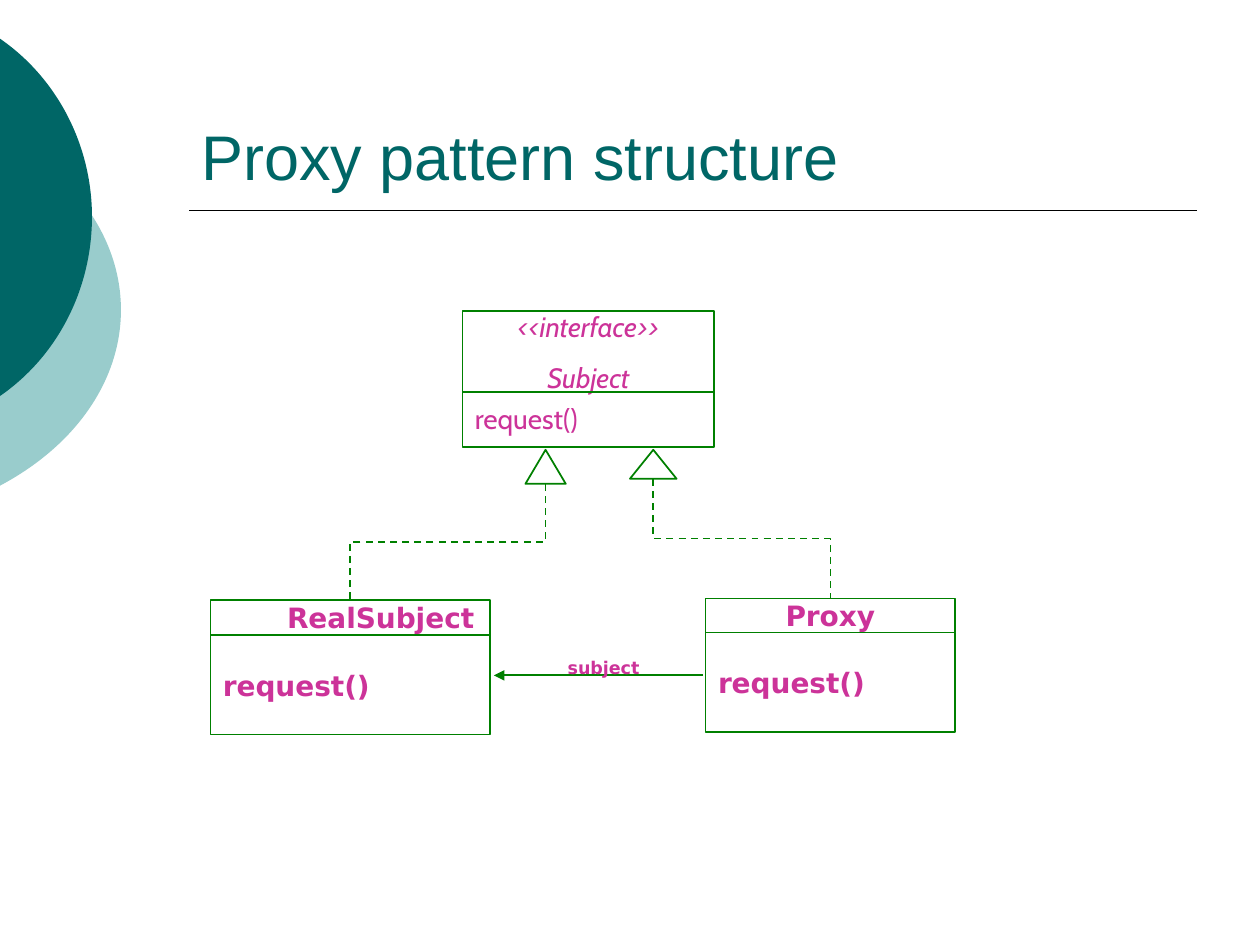
import pptx
import pptx.util
from lxml import etree
from pptx.dml.color import RGBColor
from pptx.enum.dml import MSO_LINE
from pptx.enum.shapes import MSO_CONNECTOR, MSO_SHAPE
from pptx.enum.text import MSO_ANCHOR, PP_ALIGN
from pptx.oxml.ns import qn

Inches, Pt = pptx.util.Inches, pptx.util.Pt
TEAL, PALE_TEAL, GREEN, PINK, BLACK = "006666", "99CCCC", "008000", "CC3399", "000000"

# Content: discs cut off by the left edge: frame (left, top, width, height), colour,
# then the arc as a start point and two curves of three points each
EDGE = -0.01
DISCS = [
    ((-3.54, 0.75, 4.5, 3.42), PALE_TEAL, (EDGE, 1.06),
     [[(0.6, 1.38), (0.96, 1.9), (0.96, 2.46)], [(0.96, 3.02), (0.6, 3.54), (EDGE, 3.86)]]),
    ((-2.65, 0, 3.38, 3.45), TEAL, (EDGE, 0.3),
     [[(0.46, 0.62), (0.73, 1.16), (0.73, 1.72)], [(0.73, 2.29), (0.46, 2.83), (EDGE, 3.15)]]),
]
TITLE = "Proxy pattern structure"
# Classes: left, top, width, name height, body height, name lines, name shift, font, bold,
# italic name, line spacing of the body
CLASSES = [
    (3.67, 2.47, 2.0, 0.64, 0.44, ["<<interface>>", "Subject"], 0, "Cabin", False, True, 0.95),
    (1.67, 4.76, 2.22, 0.28, 0.79, ["RealSubject"], 0.48, "DejaVu Sans", True, False, 1.0),
    (5.6, 4.75, 1.98, 0.27, 0.79, ["Proxy"], 0, "DejaVu Sans", True, False, 1.0),
]
METHOD = "request()"
# Inheritance: triangle left, top, width, height, then the end of the dashed line
INHERITANCE = [(4.17, 3.57, 0.32, 0.27, 2.78, 4.76), (5.0, 3.57, 0.37, 0.23, 6.59, 4.75)]


def colour(value):
    return RGBColor.from_string(value)


def write(shape, lines, font, size, ink, bold=False, italic=False, align=PP_ALIGN.LEFT,
          anchor=MSO_ANCHOR.MIDDLE, before=0, shift=0, spacing=1.0, wrap=False):
    frame = shape.text_frame
    frame.word_wrap = wrap
    frame.vertical_anchor = anchor
    frame.margin_left = Inches(0.1 + shift)
    frame.text = "\n".join(lines)
    for index, para in enumerate(frame.paragraphs):
        para.alignment = align
        para.line_spacing = spacing
        para.space_before = Pt(before if index else 0)
        para.font.name, para.font.size = font, Pt(size)
        para.font.bold, para.font.italic = bold, italic
        para.font.color.rgb = colour(ink)


def add_outline(page, kind, left, top, width, height):
    shape = page.shapes.add_shape(kind, Inches(left), Inches(top), Inches(width), Inches(height))
    shape.shadow.inherit = False
    shape.fill.background()
    shape.line.color.rgb = colour(GREEN)
    shape.line.width = Pt(1)
    return shape


def add_line(page, x1, y1, x2, y2, ink, kind=MSO_CONNECTOR.STRAIGHT):
    line = page.shapes.add_connector(kind, Inches(x1), Inches(y1), Inches(x2), Inches(y2))
    line.line.color.rgb = colour(ink)
    line.line.width = Pt(1)
    etree.SubElement(line._element.spPr, qn("a:effectLst"))
    return line


def add_vertical_elbow(page, x1, y1, x2, y2):
    """An elbow that leaves downwards: the sideways one turned by a quarter."""
    mid_x, mid_y = (x1 + x2) / 2, (y1 + y2) / 2
    half_run = (y2 - y1) / 2
    half_rise = abs(x2 - x1) / 2
    side = 1 if x2 < x1 else -1
    elbow = add_line(page, mid_x - side * half_run, mid_y - half_rise,
                     mid_x + side * half_run, mid_y + half_rise, GREEN, MSO_CONNECTOR.ELBOW)
    elbow.line.dash_style = MSO_LINE.DASH
    turn = 90 if side == 1 else 270
    elbow._element.spPr.find(qn("a:xfrm")).set("rot", str(turn * 60000))


def add_disc(page, frame, ink, start, curves):
    left, top, width, height = frame
    builder = page.shapes.build_freeform(Inches(left), Inches(top))
    builder.add_line_segments([(Inches(left + width), Inches(top + height))])
    shape = builder.convert_to_shape()

    # Curved segments replace the straight one
    outline = next(shape._element.iter(qn("a:path")))
    for segment in list(outline):
        outline.remove(segment)
    for tag, points in [("moveTo", [start])] + [("cubicBezTo", curve) for curve in curves]:
        segment = etree.SubElement(outline, qn("a:" + tag))
        for x, y in points:
            etree.SubElement(segment, qn("a:pt"),
                             x=str(Inches(x - left)), y=str(Inches(y - top)))
    etree.SubElement(outline, qn("a:close"))

    shape.shadow.inherit = False
    shape.fill.solid()
    shape.fill.fore_color.rgb = colour(ink)
    shape.line.fill.background()


def main():
    deck = pptx.Presentation()
    deck.slide_width, deck.slide_height = Inches(10), Inches(7.5)
    page = deck.slides.add_slide(deck.slide_layouts[6])

    # Decoration, title and rule
    for disc in DISCS:
        add_disc(page, *disc)
    add_line(page, 1.5, 1.67, 9.5, 1.67, BLACK)
    title = page.shapes.add_textbox(Inches(1.5), Inches(0.33), Inches(8), Inches(1.25))
    write(title, [TITLE], "Arial", 36, TEAL, anchor=MSO_ANCHOR.BOTTOM, wrap=True)

    # Class boxes: name above, method below
    for (left, top, width, name_height, body_height, names, shift, font, bold, italic,
         spacing) in CLASSES:
        name_box = add_outline(page, MSO_SHAPE.RECTANGLE, left, top, width, name_height)
        write(name_box, names, font, 16, PINK, bold, italic, PP_ALIGN.CENTER,
              before=10, shift=shift)
        body_box = add_outline(page, MSO_SHAPE.RECTANGLE, left, top + name_height,
                               width, body_height)
        write(body_box, [METHOD], font, 16, PINK, bold, spacing=spacing)

    # Inheritance triangles with dashed elbows
    for left, top, width, height, end_x, end_y in INHERITANCE:
        add_outline(page, MSO_SHAPE.ISOSCELES_TRIANGLE, left, top, width, height)
        add_vertical_elbow(page, left + width / 2, top + height, end_x, end_y)

    # Association from Proxy to RealSubject
    arrow = add_line(page, 5.58, 5.36, 3.92, 5.36, GREEN)
    etree.SubElement(arrow.line._get_or_add_ln(), qn("a:tailEnd"), type="triangle")
    label = page.shapes.add_textbox(Inches(4.25), Inches(5.17), Inches(1.08), Inches(0.26))
    write(label, ["subject"], "DejaVu Sans", 10, PINK, bold=True, align=PP_ALIGN.CENTER)

    deck.save("out.pptx")


if __name__ == "__main__":
    main()
